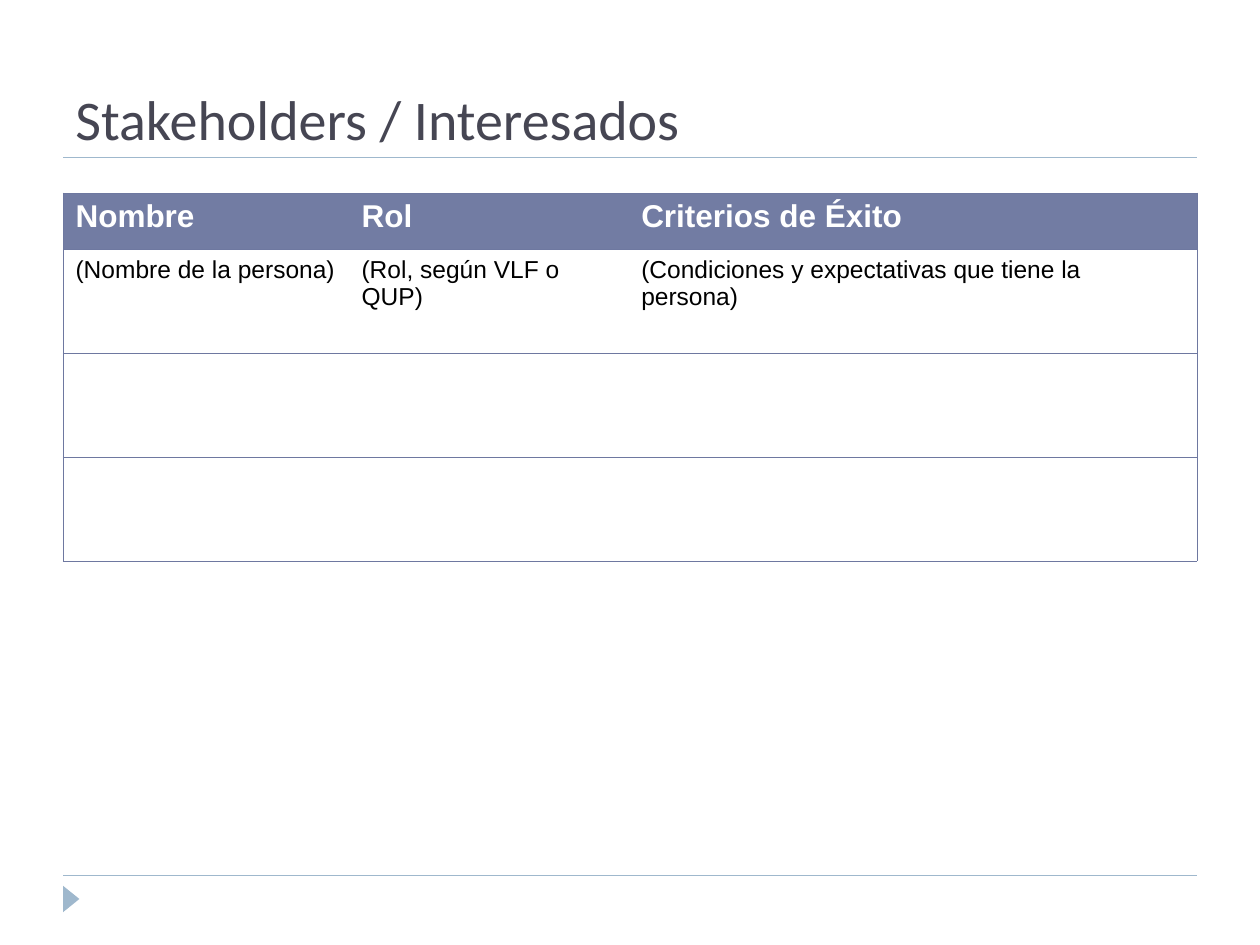
"""Build the stakeholders slide: a ruled title, a criteria table and a footer marker."""
from lxml.etree import SubElement
from pptx import Presentation
from pptx.dml.color import RGBColor
from pptx.enum.shapes import MSO_CONNECTOR as Connector, MSO_SHAPE as Shape
from pptx.enum.text import MSO_ANCHOR as Anchor
from pptx.oxml.ns import qn
from pptx.util import Inches, Pt

ACCENT, HEADER, BORDER = "9FB8CD", "727CA3", "6E78A0"


def color(hex_string):
    return RGBColor.from_string(hex_string)


def write(frame, text, size=14, font="Arial", ink="000000", bold=False):
    frame.word_wrap = True
    paragraph = frame.paragraphs[0]
    run = paragraph.add_run()
    run.text = text
    run.font.size, run.font.name, run.font.bold = Pt(size), font, bold
    run.font.color.rgb = color(ink)


presentation = Presentation()
presentation.slide_width, presentation.slide_height = Inches(10), Inches(7.5)
slide = presentation.slides.add_slide(presentation.slide_layouts[6])
column = presentation.slide_width // 20
row = presentation.slide_height // 15
left, right = column, 19 * column
content_width = right - left
title_rule, footer_rule = int(2.5 * row), int(13.9 * row)

for y in (footer_rule, title_rule):
    rule = slide.shapes.add_connector(Connector.STRAIGHT, left, y, right, y)
    rule.line.color.rgb = color(ACCENT)
    rule.line.width = Pt(0.75)
    SubElement(rule._element.spPr, qn("a:effectLst"))

marker = slide.shapes.add_shape(
    Shape.ISOSCELES_TRIANGLE, int(0.92 * column), int(14.14 * row), int(0.42 * column), int(0.26 * row))
marker.rotation = 90
marker.shadow.inherit = False
marker.fill.solid()
marker.fill.fore_color.rgb = color(ACCENT)
marker.line.fill.background()

title_top = int(0.34 * row)
title = slide.shapes.add_textbox(left, title_top, content_width, title_rule - title_top)
title.text_frame.vertical_anchor = Anchor.BOTTOM
write(title.text_frame, "Stakeholders / Interesados", size=32, font="Calibri", ink="464653")

contents = [
    ["Nombre", "Rol", "Criterios de Éxito"],
    ["(Nombre de la persona)", "(Rol, según VLF o QUP)",
     "(Condiciones y expectativas que tiene la persona)"],
    ["", "", ""],
    ["", "", ""],
]
column_spans = [4.54, 4.44, 9.02]
row_spans = [0.9, 1.65, 1.65, 1.65]
table = slide.shapes.add_table(
    len(row_spans), len(column_spans), left, int(3.06 * row),
    content_width, int(sum(row_spans) * row)).table
table.first_row = table.horz_banding = False
for table_column, span in zip(table.columns, column_spans):
    table_column.width = int(span * column)
for table_row, span in zip(table.rows, row_spans):
    table_row.height = int(span * row)

last = len(column_spans) - 1
for row_index, texts in enumerate(contents):
    is_header = row_index == 0
    for column_index, text in enumerate(texts):
        cell = table.cell(row_index, column_index)
        properties = cell._tc.get_or_add_tcPr()
        sides = {"lnL": column_index == 0, "lnR": column_index == last, "lnT": True, "lnB": True}
        for side, visible in sides.items():
            edge = SubElement(properties, qn(f"a:{side}"), w=str(Pt(0.34)))
            if visible:
                fill = SubElement(edge, qn("a:solidFill"))
                SubElement(fill, qn("a:srgbClr"), val=BORDER)
            else:
                SubElement(edge, qn("a:noFill"))
        if is_header:
            cell.fill.solid()
            cell.fill.fore_color.rgb = color(HEADER)
        else:
            cell.fill.background()
        if text:
            write(cell.text_frame, text, size=18 if is_header else 14,
                  ink="FFFFFF" if is_header else "000000", bold=is_header)

presentation.save("out.pptx")
